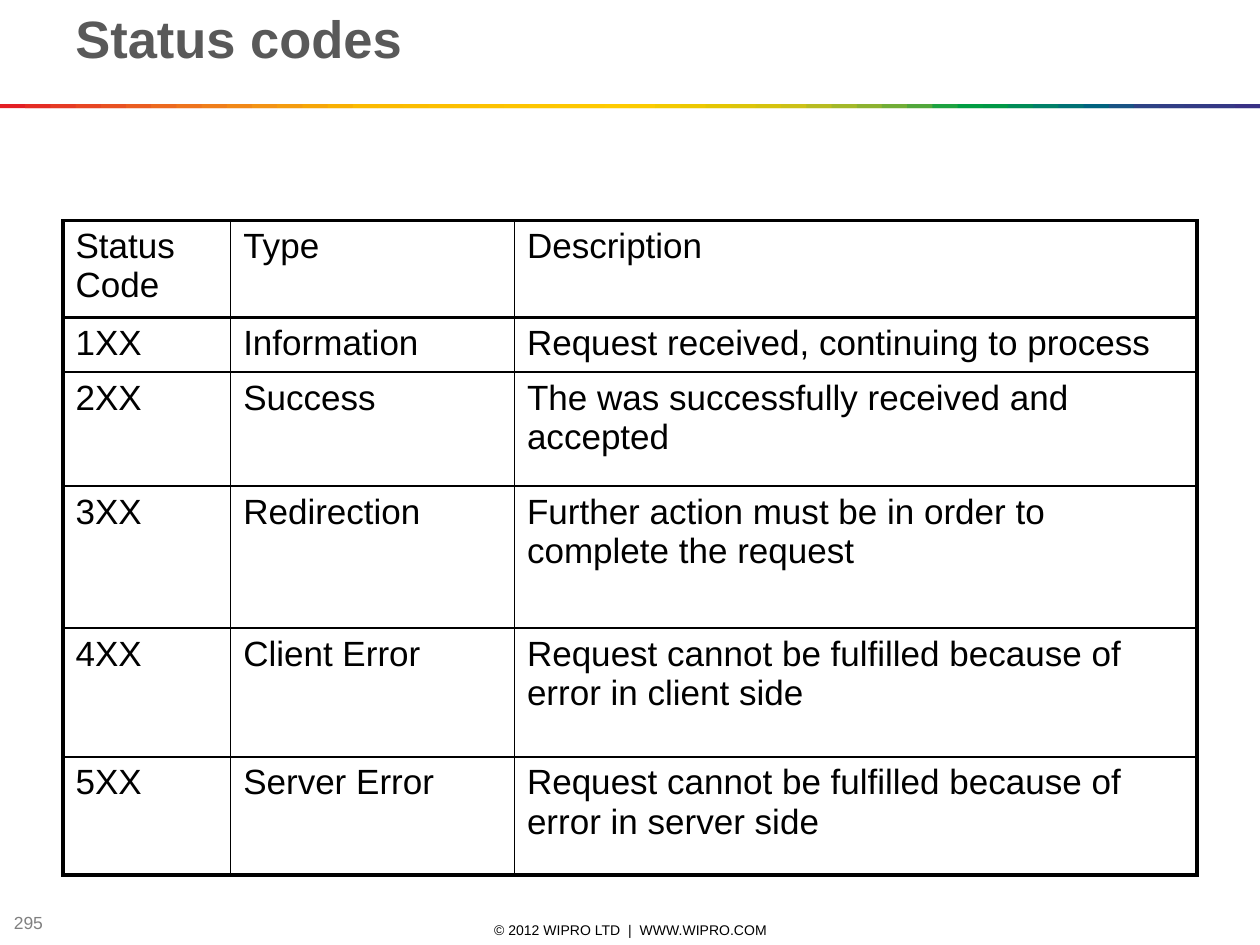
from lxml import etree
from pptx import Presentation, util as u
from pptx.dml.color import RGBColor
from pptx.enum import shapes, text
from pptx.oxml import ns

# Content
TITLE = "Status codes"
COPYRIGHT = "© 2012 WIPRO LTD  |  WWW.WIPRO.COM"
PAGE_NUMBER = "295"
STATUS_ROWS = [
    ("Status Code", "Type", "Description"),
    ("1XX", "Information", "Request received, continuing to process"),
    ("2XX", "Success", "The was successfully received and accepted"),
    ("3XX", "Redirection", "Further action must be in order to complete the request"),
    ("4XX", "Client Error", "Request cannot be fulfilled because of error in client side"),
    ("5XX", "Server Error", "Request cannot be fulfilled because of error in server side"),
]
COLUMN_WIDTHS = (3.38, 5.72, 13.76)
ROW_HEIGHTS = (1.88, 1.04, 2.3, 2.86, 2.6, 2.38)

THEME = {
    "font": "Arial",
    "title": (30, "595959"),
    "table": (20, "000000"),
    "copyright": (8, "000000"),
    "number": (10, "808080"),
    "border": "000000",
    "outer": 2.25,
    "inner": 1,
    "rainbow": """
        E31E24 E42C24 E53A24 E74623 E85122 EA5D21 EC691F EE741D EF7E1A F18817
        F39314 F49C0F F6A607 F8B002 FBBA00 FBBB00 FBBD00 FCBF00 FCC000 FCC200
        FDC400 FDC600 FDC700 FEC900 FECB00 FBCB00 F3CA00 ECC800 E4C602 DCC50A
        D5C30E CCC117 B8BC21 A3B829 8CB230 71AD36 51A73B 1DA240 009D43 009846
        008C57 008068 007275 00637F 185384 2E4285 313E85 333B85 353885 393185
    """.split(),
}


def style_text(frame, role, bold=False):
    size, colour = THEME[role]
    for para in frame.paragraphs:
        for span in para.runs:
            span.font.name = THEME["font"]
            span.font.size = u.Pt(size)
            span.font.bold = bold
            span.font.color.rgb = RGBColor.from_string(colour)


def add_text(page, words, role, place, anchor, align=text.PP_ALIGN.LEFT, bold=False):
    box = page.shapes.add_textbox(*(u.Cm(length) for length in place))
    frame = box.text_frame
    frame.word_wrap = True
    frame.vertical_anchor = anchor
    frame.text = words
    frame.paragraphs[0].alignment = align
    style_text(frame, role, bold)


def add_rainbow(page, width):
    """Bands start at equal steps and overlap the next one by half."""
    strip = page.shapes.add_group_shape()
    step = width / len(THEME["rainbow"])
    for index, colour in enumerate(THEME["rainbow"]):
        left = index * step
        band = strip.shapes.add_shape(
            shapes.MSO_SHAPE.RECTANGLE, u.Cm(left), u.Cm(2.1),
            u.Cm(min(2 * step, width - left)), u.Cm(0.08))
        band.shadow.inherit = False
        band.fill.solid()
        band.fill.fore_color.rgb = RGBColor.from_string(colour)
        band.line.fill.background()


def set_borders(cell, widths):
    properties = cell._tc.get_or_add_tcPr()
    for index, (side, points) in enumerate(widths.items()):
        line = etree.Element(ns.qn(f"a:ln{side}"), w=str(u.Pt(points)))
        fill = etree.SubElement(line, ns.qn("a:solidFill"))
        etree.SubElement(fill, ns.qn("a:srgbClr"), val=THEME["border"])
        properties.insert(index, line)


def add_status_table(page):
    last_row, last_column = len(STATUS_ROWS) - 1, len(COLUMN_WIDTHS) - 1
    table = page.shapes.add_table(
        last_row + 1, last_column + 1, u.Cm(1.27), u.Cm(4.45),
        u.Cm(sum(COLUMN_WIDTHS)), u.Cm(sum(ROW_HEIGHTS))).table
    table.first_row = table.horz_banding = False
    for column, width in zip(table.columns, COLUMN_WIDTHS):
        column.width = u.Cm(width)
    for r, (row, height) in enumerate(zip(table.rows, ROW_HEIGHTS)):
        row.height = u.Cm(height)
        for c, cell in enumerate(row.cells):
            cell.text_frame.text = STATUS_ROWS[r][c]
            style_text(cell.text_frame, "table")
            cell.fill.background()
            # Heavy frame, and a heavy rule below the header row
            heavy = {"L": c == 0, "R": c == last_column,
                     "T": r <= 1, "B": r in (0, last_row)}
            set_borders(cell, {side: THEME["outer" if is_heavy else "inner"]
                               for side, is_heavy in heavy.items()})


def main():
    deck = Presentation()
    deck.slide_width, deck.slide_height = u.Cm(25.4), u.Cm(19.05)
    page = deck.slides.add_slide(deck.slide_layouts[6])
    middle, top = text.MSO_ANCHOR.MIDDLE, text.MSO_ANCHOR.TOP

    # Footer
    add_text(page, COPYRIGHT, "copyright", (8.69, 18.54, 8.05, 0.41), middle,
             text.PP_ALIGN.CENTER)
    add_text(page, PAGE_NUMBER, "number", (0.03, 18.34, 1.9, 0.53), middle)

    # Header
    add_rainbow(page, 25.4)
    add_text(page, TITLE, "title", (1.27, 0, 22.86, 3.18), top, bold=True)

    # Body
    add_status_table(page)
    deck.save("out.pptx")


if __name__ == "__main__":
    main()
